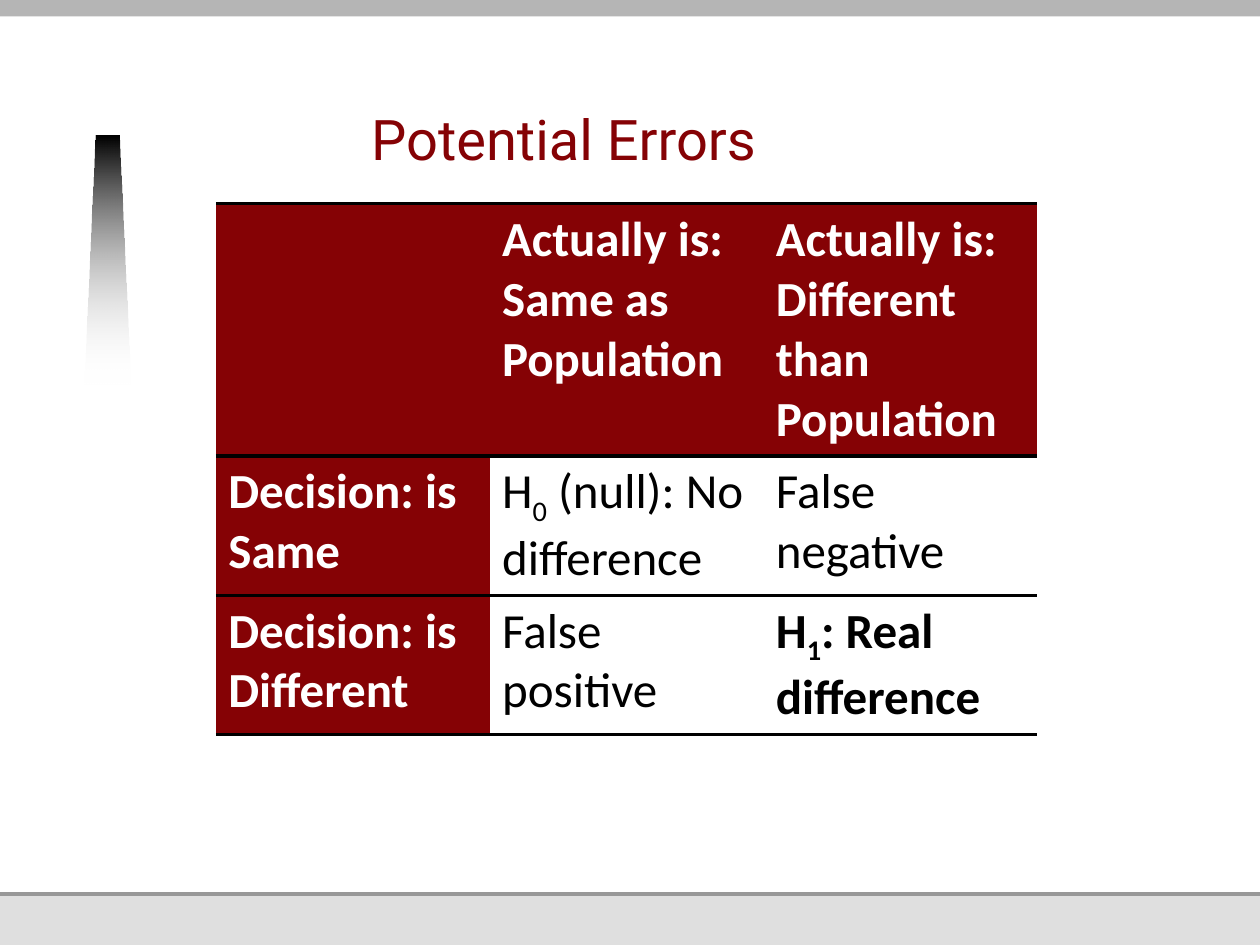
from typing import NamedTuple

from lxml import etree
from pptx import Presentation
from pptx.dml.color import RGBColor
from pptx.enum.shapes import MSO_SHAPE
from pptx.enum.text import MSO_ANCHOR, MSO_AUTO_SIZE
from pptx.oxml.ns import qn
from pptx.util import Cm, Pt

RECTANGLE = MSO_SHAPE.RECTANGLE
BOTTOM = MSO_ANCHOR.BOTTOM
NO_AUTOFIT = MSO_AUTO_SIZE.NONE
TITLE_ONLY = 5
NO_STYLE_NO_GRID = "{2D5ABB26-0587-4C30-8999-92F81FD0307C}"
COLORS = {"maroon": "850205", "black": "000000", "white": "FFFFFF",
          "footer": "DFDFDF", "rule": "989898", "bar": "B5B5B5"}
TITLE_FONT = {"name": "Roboto", "size": Pt(32), "bold": False}
CELL_FONT = {"name": "Calibri", "size": Pt(28)}
TITLE_FRAME = {"margin_left": 0, "margin_right": 0, "margin_top": 0,
               "margin_bottom": Cm(0.13), "vertical_anchor": BOTTOM,
               "word_wrap": True, "auto_size": NO_AUTOFIT}
TITLE_BOX = {"left": Cm(2.64), "top": Cm(0.86), "width": Cm(17.45), "height": Cm(2.74)}
TABLE_LEFT, TABLE_TOP, COLUMN_WIDTH = 4.35, 4.11, 5.52
ROW_HEIGHTS = (5.08, 2.79, 2.79)


class Band(NamedTuple):
    left: float
    top: float
    width: float
    height: float
    color: str


class Entry(NamedTuple):
    text: str
    subscript: str = ""
    rest: str = ""
    bold: bool = False


BANDS = (
    Band(0, 0, 25.4, 19.05, "footer"),
    Band(0, 4.52, 25.4, 13.54, "rule"),
    Band(0, 0, 25.4, 17.98, "white"),
    Band(-0.1, -0.1, 25.83, 0.43, "bar"),
)
WEDGE = ((1.7, 7.75), (1.93, 2.74), (2.41, 2.74), (2.64, 7.75))
OUTCOMES = (
    (Entry(""), Entry("Actually is: Same as Population", bold=True),
     Entry("Actually is: Different than Population", bold=True)),
    (Entry("Decision: is Same", bold=True),
     Entry("H", "0", " (null): No difference"), Entry("False negative")),
    (Entry("Decision: is Different", bold=True), Entry("False positive"),
     Entry("H", "1", ": Real difference", bold=True)),
)


def rgb(color: str) -> RGBColor:
    return RGBColor.from_string(COLORS[color])


def apply(target, values: dict) -> None:
    for attribute, value in values.items():
        setattr(target, attribute, value)


def draw_band(slide, band: Band) -> None:
    shape = slide.shapes.add_shape(RECTANGLE, *(Cm(length) for length in band[:4]))
    shape.shadow.inherit = False
    shape.fill.solid()
    shape.fill.fore_color.rgb = rgb(band.color)
    shape.line.fill.background()


def draw_wedge(slide) -> None:
    """Draw the tapered accent that fades from black to clear."""
    start, *others = [(Cm(x), Cm(y)) for x, y in WEDGE]
    builder = slide.shapes.build_freeform(*start)
    builder.add_line_segments(others, close=True)
    wedge = builder.convert_to_shape()
    wedge.shadow.inherit = False
    wedge.line.fill.background()
    wedge.fill.gradient()
    wedge.fill.gradient_angle = 270
    for stop, color in zip(wedge.fill.gradient_stops, ("black", "white")):
        stop.color.rgb = rgb(color)
    clear = wedge._element.findall(".//" + qn("a:gs"))[-1][0]
    etree.SubElement(clear, qn("a:alpha"), val="0")


def write_title(slide, text: str) -> None:
    title = slide.shapes.title
    slide.shapes._spTree.append(title._element)
    apply(title, TITLE_BOX)
    apply(title.text_frame, TITLE_FRAME)
    title.text_frame.text = text
    paragraph = title.text_frame.paragraphs[0]
    paragraph.line_spacing = Pt(34)
    apply(paragraph.runs[0].font, TITLE_FONT)
    paragraph.runs[0].font.color.rgb = rgb("maroon")


def add_border(cell, side: str) -> None:
    line = etree.Element(qn(f"a:{side}"), w=str(Pt(2)))
    fill = etree.SubElement(line, qn("a:solidFill"))
    etree.SubElement(fill, qn("a:srgbClr"), val=COLORS["black"])
    cell._tc.get_or_add_tcPr().insert(0, line)


def fill_cell(cell, entry: Entry, is_heading: bool) -> None:
    cell.fill.solid()
    cell.fill.fore_color.rgb = rgb("maroon" if is_heading else "white")
    paragraph = cell.text_frame.paragraphs[0]
    apply(paragraph.font, CELL_FONT)
    for text in filter(None, (entry.text, entry.subscript, entry.rest)):
        run = paragraph.add_run()
        run.text = text
        apply(run.font, {**CELL_FONT, "bold": entry.bold})
        run.font.color.rgb = rgb("white" if is_heading else "black")
        if text == entry.subscript:
            run._r.get_or_add_rPr().set("baseline", "-25000")


def draw_outcomes(slide) -> None:
    columns = len(OUTCOMES[0])
    table = slide.shapes.add_table(
        len(OUTCOMES), columns, Cm(TABLE_LEFT), Cm(TABLE_TOP),
        Cm(COLUMN_WIDTH * columns), Cm(sum(ROW_HEIGHTS))).table
    table._tbl.tblPr.find(qn("a:tableStyleId")).text = NO_STYLE_NO_GRID
    table.horz_banding = False
    for column in table.columns:
        column.width = Cm(COLUMN_WIDTH)
    for r, (height, entries) in enumerate(zip(ROW_HEIGHTS, OUTCOMES)):
        table.rows[r].height = Cm(height)
        for c, entry in enumerate(entries):
            cell = table.cell(r, c)
            fill_cell(cell, entry, is_heading=r == 0 or c == 0)
            if r in (0, len(OUTCOMES) - 1):
                add_border(cell, "lnB")
            if r == 1:
                add_border(cell, "lnT")
            if r == 0:
                add_border(cell, "lnT")


def main() -> None:
    presentation = Presentation()
    apply(presentation, {"slide_width": Cm(25.4), "slide_height": Cm(19.05)})
    slide = presentation.slides.add_slide(presentation.slide_layouts[TITLE_ONLY])
    for band in BANDS:
        draw_band(slide, band)
    draw_wedge(slide)
    write_title(slide, "Potential Errors")
    draw_outcomes(slide)
    presentation.save("out.pptx")


if __name__ == "__main__":
    main()
